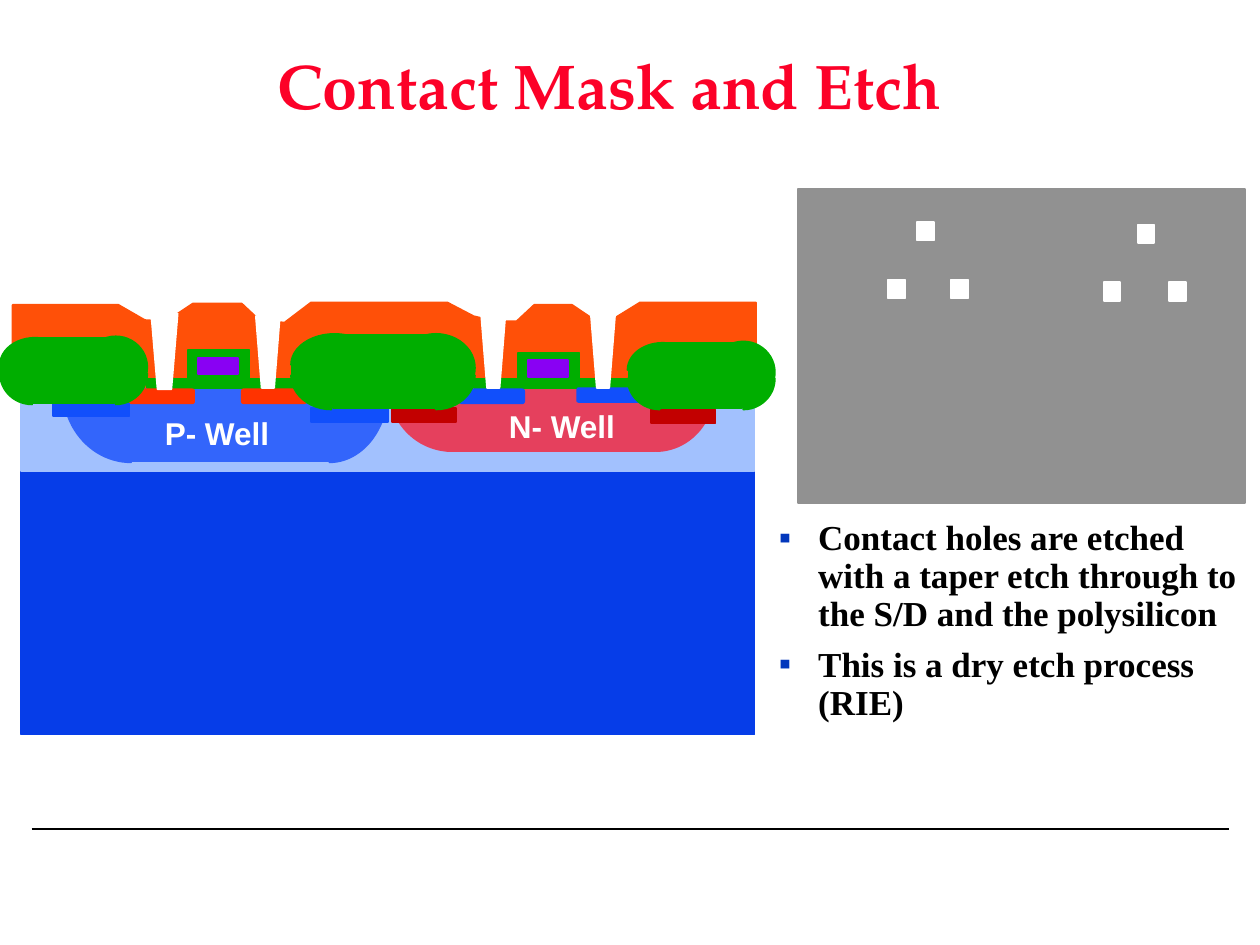
from pptx import Presentation
from pptx.dml.color import RGBColor
from pptx.enum.shapes import MSO_CONNECTOR, MSO_SHAPE as SHAPE
from pptx.enum.text import MSO_ANCHOR as ANCHOR, MSO_AUTO_SIZE as AUTOSIZE, PP_ALIGN as ALIGN
from pptx.oxml.ns import qn
from pptx.util import Pt
from lxml.etree import SubElement

WHITE = RGBColor(0xFF, 0xFF, 0xFF)
BLACK = RGBColor(0, 0, 0)
TITLE_RED = RGBColor(0xFC, 0x01, 0x28)
BULLET_BLUE = RGBColor(0x02, 0x37, 0xBC)
MASK_GRAY = RGBColor(0x91, 0x91, 0x91)
GLASS = RGBColor(0xFF, 0x50, 0x08)
SUBSTRATE = RGBColor(0x06, 0x3D, 0xE8)
EPI = RGBColor(0xA2, 0xC1, 0xFE)
N_WELL = RGBColor(0xE5, 0x40, 0x5D)
P_WELL = RGBColor(0x33, 0x65, 0xFB)
OXIDE = RGBColor(0x00, 0xAE, 0x00)
POLY = RGBColor(0x89, 0x01, 0xF3)
P_DOPED = RGBColor(0x11, 0x4F, 0xFB)
N_STOP = RGBColor(0xC2, 0x00, 0x00)
N_DOPED = RGBColor(0xFF, 0x33, 0x00)

TITLE = "Contact Mask and Etch"
BULLETS = [
    "Contact holes are etched with a taper etch through to the S/D and the polysilicon",
    "This is a dry etch process (RIE)",
]

MASK = (455.8, 108, 255.6, 179.3)
HOLE_SIZE = (9.4, 10.8)
HOLES = [(507.6, 159.8), (543.6, 159.8), (630.7, 161.3), (668.2, 161.3),
         (524.2, 126.7), (650.2, 128.2)]

GLASS_OUTLINE = [
    (7.2, 222.5), (7.2, 174.2), (67.7, 174.2), (82.8, 182.9), (95, 183.6),
    (110.2, 173.5), (138.2, 173.5), (149, 183.6), (162.7, 184.3), (177.8, 172.8),
    (255.6, 172.8), (270.7, 180.7), (283, 183.6), (295.2, 183.6), (305.3, 174.2),
    (326.9, 174.2), (339.8, 182.9), (350.6, 182.2), (365.8, 172.8), (432, 172.8),
    (432, 226.8),
]

# Start and end angle of each quarter, clockwise from the right
QUARTERS = {"bottom left": (90, 180), "bottom right": (0, 90),
            "top right": (-90, 0), "top left": (180, -90)}

# colour, quarter boxes, straight boxes
WELLS = [
    (N_WELL, {"bottom left": (222.5, 185.8, 72, 72),
              "bottom right": (341.3, 185.8, 67, 72)},
     [(255.6, 222.5, 118.8, 35.3)]),
    (P_WELL, {"bottom left": (36, 180, 77.8, 84.2),
              "bottom right": (154.8, 180, 67, 84.2)},
     [(69.8, 222.5, 118.8, 41)]),
]
EDGE_OXIDE = (
    {"bottom left": (0, 195.8, 36.7, 35.3), "bottom right": (48.2, 195.8, 36, 35.3),
     "top right": (48.2, 192.2, 36, 35.3), "top left": (0, 193, 40.3, 31)},
    [(0.7, 208.1, 82.8, 5.8), (18.7, 193, 46.8, 37.4)])
MIDDLE_OXIDE = (
    {"bottom left": (166.3, 195.1, 46.1, 38.9), "bottom right": (226.8, 195.1, 44.6, 38.9),
     "top right": (226.8, 190.8, 44.6, 38.9), "top left": (166.3, 190.8, 49.7, 35.3)},
    [(167, 208.1, 103.7, 6.5), (190.1, 191.5, 59, 41.8)])
FIELD_OXIDES = [(EDGE_OXIDE, 0, 0), (MIDDLE_OXIDE, 0, 0), (EDGE_OXIDE, 358.6, 2.9)]

LABELS = [("P- Well", (87.1, 233.3, 74.9, 28.8)), ("N- Well", (283.7, 229, 75.6, 28.8))]

RECT, ROUND = SHAPE.RECTANGLE, SHAPE.ROUNDED_RECTANGLE
BULK = [(SUBSTRATE, (12.2, 222.5, 419, 197.3)), (EPI, (12.2, 222.5, 419, 46.8))]
# preset, colour, size, left-top corners
DEVICE_PARTS = [
    (RECT, OXIDE, (89.3, 5), [(84.2, 216.7), (270.7, 216.7)]),
    (ROUND, P_DOPED, (36.7, 7.9), [(262.8, 222.5), (329.8, 221.8)]),
    (RECT, P_DOPED, (43.9, 7.9), [(177.8, 233.3), (30.2, 229.7)]),
    (RECT, N_STOP, (36.7, 7.9), [(223.9, 233.3), (372.2, 234)]),
    (RECT, OXIDE, (35.3, 18.7), [(107.3, 200.2), (295.9, 201.6)]),
    (RECT, POLY, (23, 9.4), [(113, 204.5), (301.7, 205.9)]),
    (ROUND, N_DOPED, (36.7, 7.9), [(74.2, 222.5), (138.2, 222.5)]),
]
CONTACTS = [(86.4, 179.3, 15.1, 43.2), (146.2, 180.7, 13.7, 41),
            (275, 180.7, 13.7, 41), (337.7, 180.7, 13.7, 41)]


def paint(sp, color):
    sp.shadow.inherit = False
    sp.fill.solid()
    sp.fill.fore_color.rgb = color
    sp.line.color.rgb = color
    sp.line.width = Pt(1)


def add_part(shapes, preset, color, box, adjustments=()):
    sp = shapes.add_shape(preset, *map(Pt, box))
    for i, value in enumerate(adjustments):
        sp.adjustments[i] = value
    paint(sp, color)
    return sp


def add_rounded_body(shapes, color, corners, boxes, dx=0, dy=0):
    """Build one body from quarter ellipses at its corners and filling boxes."""
    for corner, (x, y, w, h) in corners.items():
        angles = [degrees * 0.6 for degrees in QUARTERS[corner]]
        add_part(shapes, SHAPE.PIE, color, (x + dx, y + dy, w, h), angles)
    for x, y, w, h in boxes:
        add_part(shapes, RECT, color, (x + dx, y + dy, w, h))


def format_text(p, text, **font):
    r = p.add_run()
    r.text = text
    r.font.color.rgb = font.pop("color")
    for name, value in font.items():
        setattr(r.font, name, value)


def place(sp, box):
    for name, value in zip(("left", "top", "width", "height"), box):
        setattr(sp, name, Pt(value))


def add_bullet(p, char, color):
    pPr = p._p.get_or_add_pPr()
    pPr.set("marL", str(Pt(22.5)))
    pPr.set("indent", str(-Pt(22.5)))
    SubElement(SubElement(pPr, qn("a:buClr")), qn("a:srgbClr")).set("val", str(color))
    SubElement(pPr, qn("a:buChar")).set("char", char)


prs = Presentation()
prs.slide_width, prs.slide_height = Pt(720), Pt(540)
s = prs.slides.add_slide(prs.slide_layouts[1])

title, body = s.placeholders
for sp, box, anchor in ((title, (66.2, 5.8, 563.8, 90), ANCHOR.MIDDLE),
                        (body, (437.8, 293.8, 282.2, 178.6), ANCHOR.TOP)):
    place(sp, box)
    tf = sp.text_frame
    tf.auto_size, tf.vertical_anchor, tf.word_wrap = AUTOSIZE.NONE, anchor, True
p = title.text_frame.paragraphs[0]
p.alignment, p.line_spacing = ALIGN.CENTER, 0.9
format_text(p, TITLE, name="TeX Gyre Pagella", size=Pt(36), bold=True, color=TITLE_RED)
tf = body.text_frame
for i, text in enumerate(BULLETS):
    p = tf.add_paragraph() if i else tf.paragraphs[0]
    p.line_spacing, p.space_before = 0.9, Pt(7.5)
    add_bullet(p, "▪", BULLET_BLUE)
    format_text(p, text, name="Times New Roman", size=Pt(20), bold=True, color=BLACK)

rule = s.shapes.add_connector(MSO_CONNECTOR.STRAIGHT, Pt(18), Pt(473.8), Pt(702), Pt(473.8))
rule.line.color.rgb, rule.line.width = BLACK, Pt(1)
SubElement(rule._element.spPr, qn("a:effectLst"))

add_part(s.shapes, RECT, MASK_GRAY, MASK)
for corner in HOLES:
    add_part(s.shapes, RECT, WHITE, corner + HOLE_SIZE)

section = s.shapes.add_group_shape().shapes
outline = section.build_freeform(*map(Pt, GLASS_OUTLINE[0]))
outline.add_line_segments([(Pt(x), Pt(y)) for x, y in GLASS_OUTLINE[1:]])
paint(outline.convert_to_shape(), GLASS)
for color, box in BULK:
    add_part(section, RECT, color, box)
for color, corners, boxes in WELLS:
    add_rounded_body(section, color, corners, boxes)
for text, box in LABELS:
    tf = section.add_textbox(*map(Pt, box)).text_frame
    tf.word_wrap = False
    format_text(tf.paragraphs[0], text, name="Arial", size=Pt(18), bold=True, color=WHITE)
for preset, color, size, corners in DEVICE_PARTS:
    for corner in corners:
        add_part(section, preset, color, corner + size, [0.125] if preset == ROUND else [])
for (corners, boxes), dx, dy in FIELD_OXIDES:
    add_rounded_body(section, OXIDE, corners, boxes, dx, dy)
for box in CONTACTS:
    add_part(section, SHAPE.TRAPEZOID, WHITE, box, [0.24]).rotation = 180

prs.save("out.pptx")
